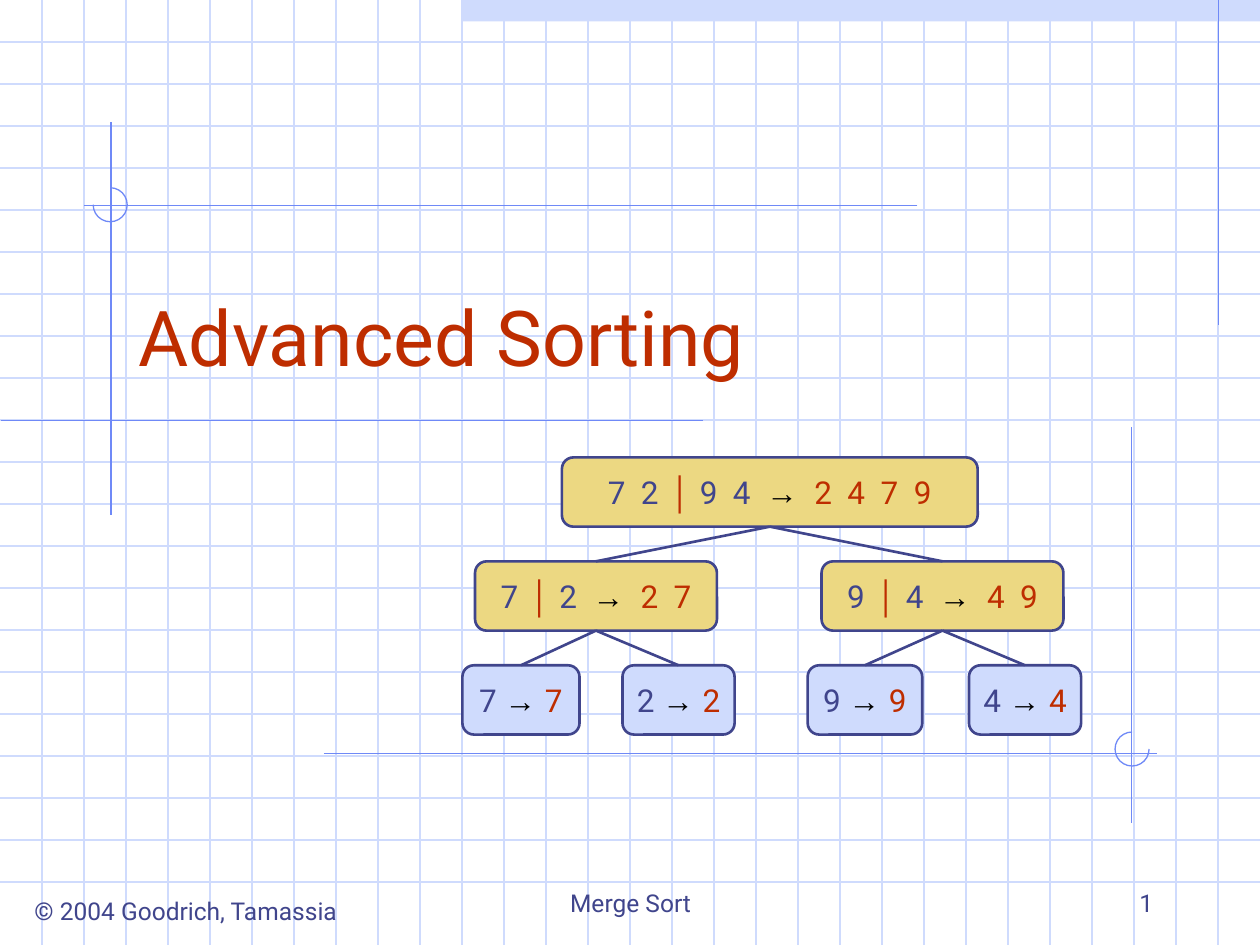
"""Build the Advanced Sorting title slide with its merge sort tree."""
from lxml import etree
from pptx import Presentation
from pptx.dml.color import RGBColor
from pptx.enum.shapes import MSO_CONNECTOR, MSO_SHAPE
from pptx.enum.text import MSO_ANCHOR, MSO_AUTO_SIZE, PP_ALIGN
from pptx.oxml.ns import qn
from pptx.util import Inches, Pt

STRAIGHT = MSO_CONNECTOR.STRAIGHT
RECTANGLE, ROUNDED, ARC = MSO_SHAPE.RECTANGLE, MSO_SHAPE.ROUNDED_RECTANGLE, MSO_SHAPE.ARC
TOP, MIDDLE, BOTTOM = MSO_ANCHOR.TOP, MSO_ANCHOR.MIDDLE, MSO_ANCHOR.BOTTOM
LEFT, CENTER, RIGHT = PP_ALIGN.LEFT, PP_ALIGN.CENTER, PP_ALIGN.RIGHT
TOP_SITE, BOTTOM_SITE = 0, 2

THEME = {
    "font": "Roboto", "symbol_font": "Arial",
    "ink": "40458C", "accent": "BE2D00", "black": "000000",
    "grid": "CFDBFD", "rule": "6F89F7", "inner": "ECD882", "leaf": "CFDBFD",
    "title": 44, "node": 18, "footer": 14, "thin": 0.75, "thick": 1.5,
    "wide_gap": 220,
}
WIDTH, HEIGHT, GRID_STEP = 10, 7.5, 1 / 3
BAND = (3.67, 0, 6.33, 0.17)
TITLE = ("Advanced Sorting", (1, 1.83, 8.5, 1.25))
RULES = [
    (9.67, 0, 9.67, 2.58), (0.88, 0.97, 0.88, 4.09),
    (5.58, 3.34, 0.01, 3.34), (7.28, 1.63, 0.67, 1.63),
    (2.57, 5.98, 9.18, 5.98), (8.98, 3.39, 8.98, 6.53),
]
RING_SIZE = 0.27
RINGS = [(0.74, 1.49, 270, 180), (8.85, 5.81, 0, 270)]
FOOTERS = [
    ("© 2004 Goodrich, Tamassia", (0.12, 7.06, 2.71, 0.34), CENTER, TOP, False),
    ("Merge Sort", (3.42, 6.83, 3.17, 0.5), CENTER, BOTTOM, True),
    ("1", (7.17, 6.83, 2.08, 0.5), RIGHT, BOTTOM, True),
]
LEVEL_TOP, LEVEL_STEP, NODE_HEIGHT = 3.63, 0.825, 0.55
TREE = [
    (0, None, 4.46, 3.3, ["7 2", "9 4"], "2 4 7 9"),
    (1, 0, 3.77, 1.92, ["7", "2"], "2 7"),
    (1, 0, 6.52, 1.92, ["9", "4"], "4 9"),
    (2, 1, 3.67, 0.93, ["7"], "7"),
    (2, 1, 4.94, 0.89, ["2"], "2"),
    (2, 2, 6.41, 0.91, ["9"], "9"),
    (2, 2, 7.69, 0.89, ["4"], "4"),
]


def color(name):
    return RGBColor.from_string(THEME[name])


def inches(values):
    return [Inches(value) for value in values]


def add_line(page, ends, tint, weight):
    line = page.shapes.add_connector(STRAIGHT, *inches(ends))
    line.line.color.rgb = color(tint)
    line.line.width = Pt(THEME[weight])
    etree.SubElement(line.element.spPr, qn("a:effectLst"))
    return line


def add_shape(page, kind, place, fill=None, outline=None, weight="thin"):
    shape = page.shapes.add_shape(kind, *inches(place))
    shape.shadow.inherit = False
    if fill:
        shape.fill.solid()
        shape.fill.fore_color.rgb = color(fill)
    else:
        shape.fill.background()
    if outline:
        shape.line.color.rgb = color(outline)
        shape.line.width = Pt(THEME[weight])
    else:
        shape.line.fill.background()
    return shape


def add_span(para, text, size, tint, face="font", bold=False):
    span = para.add_run()
    span.text = text
    span.font.name = THEME[face]
    span.font.size = Pt(THEME[size])
    span.font.bold = bold
    span.font.color.rgb = color(tint)
    return span


def start_text(shape, align, anchor, wrap):
    frame = shape.text_frame
    frame.word_wrap = wrap
    frame.auto_size = MSO_AUTO_SIZE.NONE
    frame.vertical_anchor = anchor
    para = frame.paragraphs[0]
    para.alignment = align
    return para


def add_background(page):
    add_shape(page, RECTANGLE, BAND, fill="grid")
    for row in range(1, round(HEIGHT / GRID_STEP)):
        add_line(page, (0, row * GRID_STEP, WIDTH, row * GRID_STEP), "grid", "thin")
    for column in range(1, round(WIDTH / GRID_STEP)):
        add_line(page, (column * GRID_STEP, 0, column * GRID_STEP, HEIGHT), "grid", "thin")
    for ends in RULES:
        add_line(page, ends, "rule", "thin")
    for left, top, start, end in RINGS:
        ring = add_shape(page, ARC, (left, top, RING_SIZE, RING_SIZE), outline="rule")
        ring.adjustments[0] = start * 0.6
        ring.adjustments[1] = end * 0.6


def add_title(page):
    text, place = TITLE
    title = page.shapes.title
    title.left, title.top, title.width, title.height = inches(place)
    add_span(start_text(title, LEFT, BOTTOM, True), text, "title", "accent")
    title.element.getparent().append(title.element)


def add_footers(page):
    for text, place, align, anchor, wrap in FOOTERS:
        box = page.shapes.add_textbox(*inches(place))
        add_span(start_text(box, align, anchor, wrap), text, "footer", "ink")


def add_node(page, level, left, width, halves, result):
    inner = len(halves) > 1
    place = (left, LEVEL_TOP + level * LEVEL_STEP, width, NODE_HEIGHT)
    node = add_shape(page, ROUNDED, place, "inner" if inner else "leaf", "ink", "thick")
    node.adjustments[0] = 0.167
    para = start_text(node, CENTER, MIDDLE, False)
    spans = []
    if inner:
        spans.append(add_span(para, halves[0], "node", "ink"))
        add_span(para, " │ ", "node", "accent", "symbol_font", True)
    spans.append(add_span(para, halves[-1] + " ", "node", "ink"))
    spans.append(add_span(para, "→ ", "node", "black", "symbol_font", True))
    spans.append(add_span(para, result, "node", "accent"))
    if inner:
        for span in spans:
            span._r.get_or_add_rPr().set("spc", str(THEME["wide_gap"]))
    return node


def add_tree(page):
    nodes = [add_node(page, level, *rest) for level, _, *rest in TREE]
    for node, (_, parent, *_) in zip(nodes, TREE):
        if parent is not None:
            branch = add_line(page, (0, 0, 1, 1), "ink", "thick")
            branch.begin_connect(node, TOP_SITE)
            branch.end_connect(nodes[parent], BOTTOM_SITE)


def main():
    deck = Presentation()
    deck.slide_width, deck.slide_height = Inches(WIDTH), Inches(HEIGHT)
    page = deck.slides.add_slide(deck.slide_layouts[5])
    add_background(page)
    add_footers(page)
    add_title(page)
    add_tree(page)
    deck.save("out.pptx")


if __name__ == "__main__":
    main()
